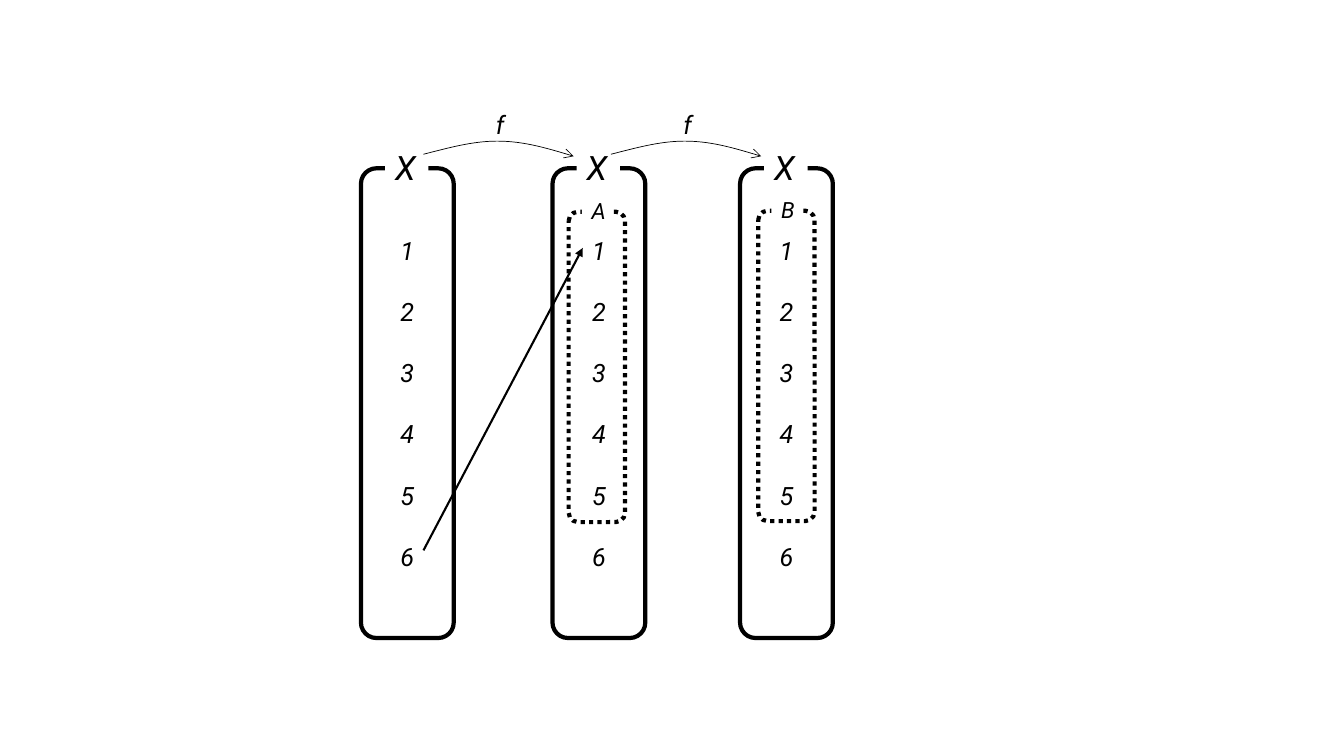
"""Build a slide showing the map f between three copies of the set X."""
from dataclasses import dataclass

from lxml import etree
from pptx import Presentation
from pptx import util as u
from pptx.dml.color import RGBColor
from pptx.enum import dml, shapes, text
from pptx.oxml import ns


@dataclass(frozen=True)
class Theme:
    ink: RGBColor = RGBColor(0, 0, 0)
    paper: RGBColor = RGBColor(255, 255, 255)
    font: str = "Roboto"
    set_name: int = 24
    body: int = 18
    subset_name: int = 16
    outline: float = 3
    arrow: float = 1.5
    curve: float = 0.5


theme = Theme()


def write(box, lines, size, align=text.PP_ALIGN.LEFT, gap=0):
    """Fill a box with italic lines separated by a gap in points."""
    frame = box.text_frame
    frame.text = "\n".join(lines)
    for index, para in enumerate(frame.paragraphs):
        para.alignment = align
        para.space_before = u.Pt(gap if index else 0)
        para.font.name = theme.font
        para.font.size = u.Pt(size)
        para.font.italic = True
        para.font.color.rgb = theme.ink


def draw_line(shape, width, head=None):
    """Give a shape an ink line and an optional arrowhead at its end."""
    shape.line.color.rgb = theme.ink
    shape.line.width = u.Pt(width)
    if head:
        line = shape.line._get_or_add_ln()
        etree.SubElement(line, ns.qn("a:tailEnd"), type=head)


deck = Presentation()
deck.slide_width, deck.slide_height = u.Inches(13.33), u.Inches(7.5)
page = deck.slides.add_slide(deck.slide_layouts[6])

numbers = [str(number) for number in range(1, 7)]
columns = [(3.58, None), (5.48, ("A", 5.64, 2.1, 5.77)), (7.34, ("B", 7.52, 2.09, 7.65))]

for left, subset in columns:
    outlines = [(left, 1.67, 0.92, 4.66)]
    labels = [("X", left + 0.24, 1.41, 0.43, 0.5, theme.set_name)]
    if subset:
        name, subset_left, subset_top, label_left = subset
        outlines.append((subset_left, subset_top, 0.56, 3.08))
        labels.append((name, label_left, subset_top - 0.19, 0.31, 0.37, theme.subset_name))

    for index, bounds in enumerate(outlines):
        box = page.shapes.add_shape(
            shapes.MSO_SHAPE.ROUNDED_RECTANGLE, *map(u.Inches, bounds))
        box.shadow.inherit = False
        box.fill.background()
        draw_line(box, theme.outline)
        if index == 0:
            box.text_frame.vertical_anchor = text.MSO_ANCHOR.MIDDLE
            write(box, numbers, theme.body, text.PP_ALIGN.CENTER, gap=22.1)
        else:
            box.line.dash_style = dml.MSO_LINE.ROUND_DOT

    for name, *bounds, size in labels:
        label = page.shapes.add_shape(
            shapes.MSO_SHAPE.RECTANGLE, *map(u.Inches, bounds))
        label.shadow.inherit = False
        label.fill.solid()
        label.fill.fore_color.rgb = theme.paper
        label.line.fill.background()
        label.text_frame.word_wrap = False
        label.text_frame.vertical_anchor = text.MSO_ANCHOR.TOP
        write(label, [name], size)

curve_points = [(0.24, 1.47), (0.48, 1.4), (0.73, 1.4),
                (0.97, 1.4), (1.23, 1.47), (1.49, 1.55)]
for left in (4.2, 6.06):
    group = page.shapes.add_group_shape()
    builder = group.shapes.build_freeform(u.Inches(left), u.Inches(1.53))
    builder.add_line_segments(
        [(u.Inches(left + x), u.Inches(y)) for x, y in curve_points], close=False)
    curve = builder.convert_to_shape()
    segments = curve._element.findall(".//" + ns.qn("a:lnTo"))
    for start in range(0, len(segments), 3):
        bezier = etree.Element(ns.qn("a:cubicBezTo"))
        segments[start].addprevious(bezier)
        for segment in segments[start:start + 3]:
            bezier.append(segment[0])
            segment.getparent().remove(segment)
    curve.shadow.inherit = False
    curve.fill.background()
    draw_line(curve, theme.curve, "arrow")

    label = group.shapes.add_textbox(
        u.Inches(left + 0.62), u.Inches(1.04), u.Inches(0.37), u.Inches(0.4))
    label.text_frame.word_wrap = True
    write(label, ["f"], theme.body)

arrow = page.shapes.add_connector(
    shapes.MSO_CONNECTOR.STRAIGHT,
    u.Inches(4.2), u.Inches(5.46), u.Inches(5.78), u.Inches(2.46))
draw_line(arrow, theme.arrow, "triangle")
etree.SubElement(arrow._element.spPr, ns.qn("a:effectLst"))

deck.save("out.pptx")
